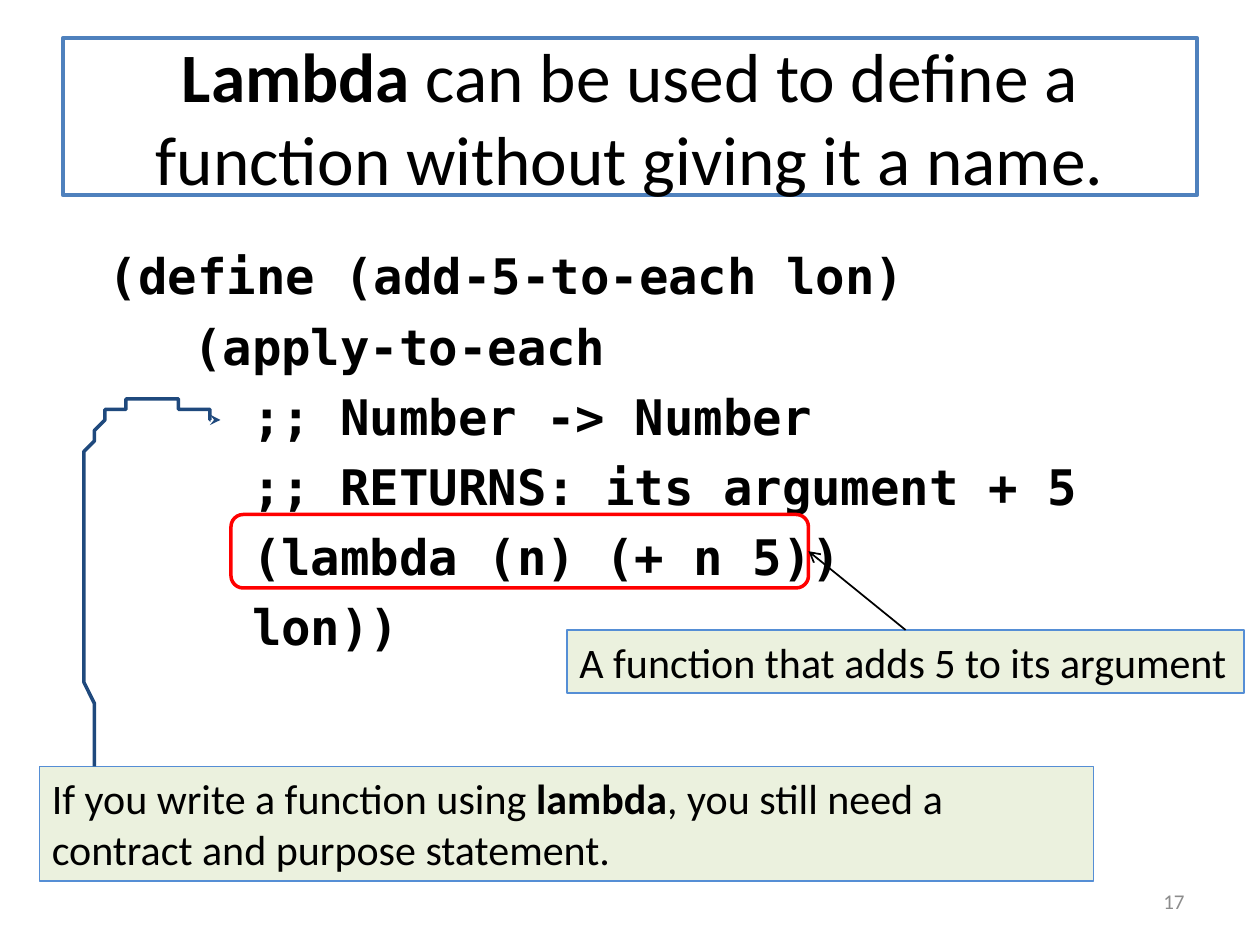
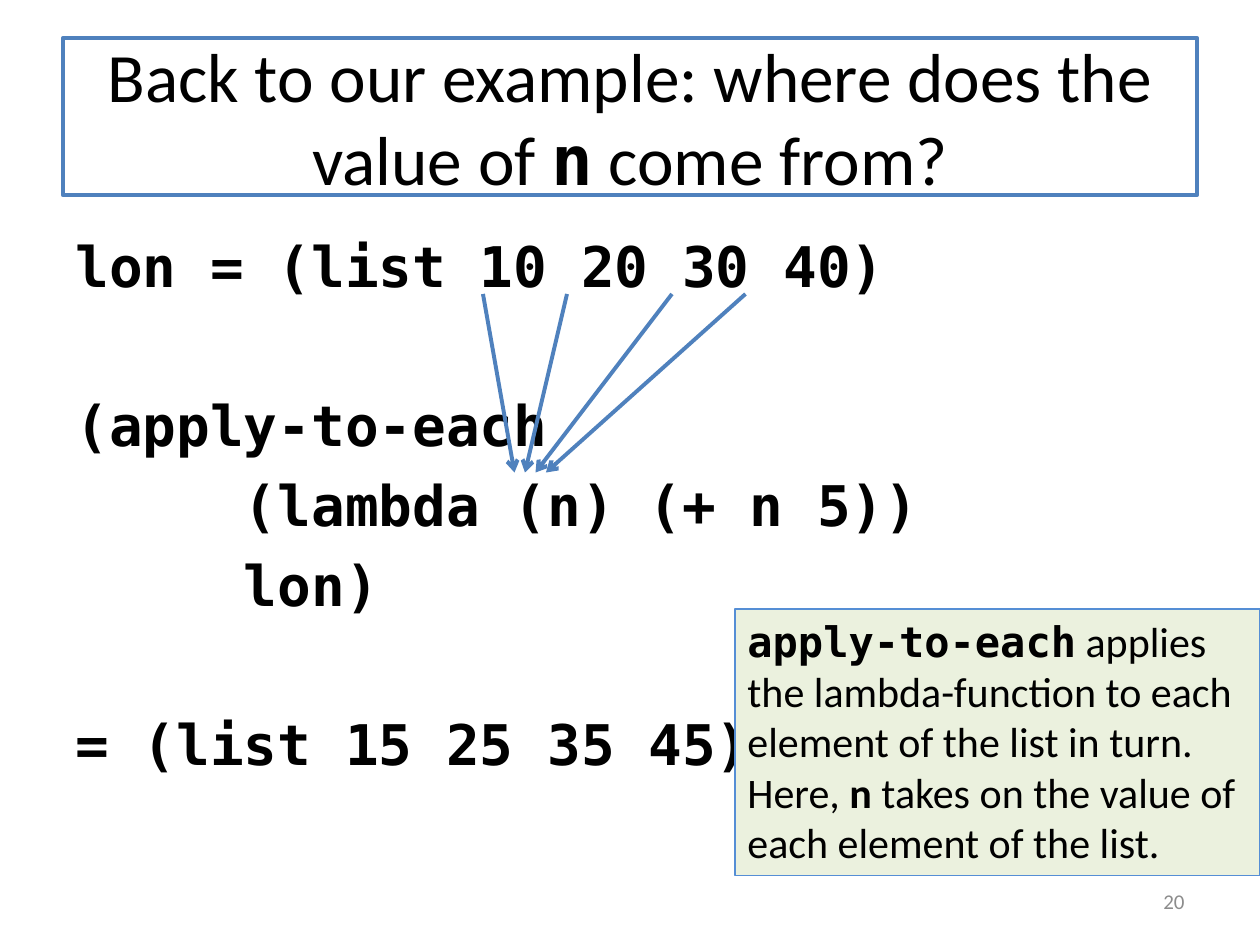
from lxml.etree import SubElement
from pptx import Presentation
from pptx.dml.color import RGBColor
from pptx.enum.shapes import MSO_CONNECTOR, MSO_SHAPE
from pptx.enum.text import MSO_ANCHOR, MSO_AUTO_SIZE, PP_ALIGN
from pptx.oxml.ns import qn
from pptx.util import Emu, Inches, Pt

BLACK = RGBColor(0x00, 0x00, 0x00)
WHITE = RGBColor(0xFF, 0xFF, 0xFF)
GREY = RGBColor(0x8C, 0x8C, 0x8C)
RED = RGBColor(0xFF, 0x00, 0x00)
BLUE = RGBColor(0x4F, 0x81, 0xBD)
NAVY = RGBColor(0x1F, 0x49, 0x7D)
NOTE_FILL = RGBColor(0xEB, 0xF1, 0xDE)
NOTE_LINE = RGBColor(0x55, 0x8E, 0xD5)

SANS, MONO, COURIER = "Calibri", "DejaVu Sans Mono", "Courier New"
TITLE_SIZE, NOTE_SIZE, NUMBER_SIZE = 39.6, 24, 12
COLUMNS, ROWS = 120, 90
CELL = Inches(10) // COLUMNS
TITLE_ONLY = 5
LINE_GAP, BLOCK_GAP = 0.23, 1.63  # shares of the code size


def cells(*counts):
    return [Emu(round(count * CELL)) for count in counts]


def add_span(para, text, size, font=SANS, bold=False, color=BLACK):
    span = para.add_run()
    span.text = text
    span.font.name, span.font.size, span.font.bold = font, Pt(size), bold
    span.font.color.rgb = color


def add_spans(para, spans, size):
    """Add (text, font, bold) spans; font and bold may be left out."""
    for span in spans:
        add_span(para, span[0], size, *span[1:])


def set_line(line, color, width):
    line.color.rgb = color
    line.width = Pt(width)


def add_arrowhead(shape, kind):
    SubElement(shape.line._get_or_add_ln(), qn("a:tailEnd"), type=kind)


def add_page(deck, title_spans, number):
    page = deck.slides.add_slide(deck.slide_layouts[TITLE_ONLY])
    title = page.shapes.title
    title.left, title.top, title.width, title.height = cells(6, 3.6, 108, 15)
    title.fill.solid()
    title.fill.fore_color.rgb = WHITE
    set_line(title.line, BLUE, 2.25)
    frame = title.text_frame
    frame.auto_size = MSO_AUTO_SIZE.NONE
    frame.vertical_anchor = MSO_ANCHOR.MIDDLE
    frame.paragraphs[0].alignment = PP_ALIGN.CENTER
    add_spans(frame.paragraphs[0], title_spans, TITLE_SIZE)

    footer = page.shapes.add_textbox(*cells(86, 83.4, 28, 4.8)).text_frame
    footer.word_wrap = True
    footer.vertical_anchor = MSO_ANCHOR.MIDDLE
    footer.paragraphs[0].alignment = PP_ALIGN.RIGHT
    add_span(footer.paragraphs[0], str(number), NUMBER_SIZE, color=GREY)
    return page


def add_code(page, blocks, size, top_inset):
    """Set each block of code lines, with a wider gap between blocks."""
    frame = page.shapes.add_textbox(*cells(6, 21, 108, 59.4)).text_frame
    frame.word_wrap = True
    frame.margin_top = Inches(top_inset)
    para = None
    for block in blocks:
        for index, line in enumerate(block):
            if para is None:
                para = frame.paragraphs[0]
            else:
                para = frame.add_paragraph()
                gap = LINE_GAP if index else BLOCK_GAP
                para.space_before = Pt(round(gap * size, 1))
            add_span(para, line, size, MONO, True)
    return frame


def add_note(page, area, spans, wrap=True):
    box = page.shapes.add_shape(MSO_SHAPE.RECTANGLE, *cells(*area))
    box.shadow.inherit = False
    box.fill.solid()
    box.fill.fore_color.rgb = NOTE_FILL
    set_line(box.line, NOTE_LINE, 1)
    frame = box.text_frame
    frame.word_wrap = wrap
    frame.auto_size = MSO_AUTO_SIZE.SHAPE_TO_FIT_TEXT
    frame.vertical_anchor = MSO_ANCHOR.TOP
    frame.paragraphs[0].alignment = PP_ALIGN.LEFT
    add_spans(frame.paragraphs[0], spans, NOTE_SIZE)


def add_highlight(page, area):
    frame = page.shapes.add_shape(MSO_SHAPE.ROUNDED_RECTANGLE, *cells(*area))
    frame.shadow.inherit = False
    frame.fill.background()
    set_line(frame.line, RED, 2)


def add_arrow(page, start, end, color, width):
    arrow = page.shapes.add_connector(
        MSO_CONNECTOR.STRAIGHT, *cells(*start, *end))
    set_line(arrow.line, color, width)
    add_arrowhead(arrow, "arrow")
    SubElement(arrow._element.spPr, qn("a:effectLst"))


def bezier_point(knots, t):
    weights = ((1 - t) ** 3, 3 * t * (1 - t) ** 2, 3 * t * t * (1 - t), t ** 3)
    return tuple(sum(w * value for w, value in zip(weights, axis))
                 for axis in zip(*knots))


def add_curved_arrow(page, knots, steps=24):
    """Draw joined cubic curves; every third knot lies on the curve."""
    points = [bezier_point(knots[first:first + 4], step / steps)
              for first in range(0, len(knots) - 1, 3)
              for step in range(1, steps + 1)]
    builder = page.shapes.build_freeform(*knots[0], scale=CELL)
    builder.add_line_segments(points, close=False)
    curve = builder.convert_to_shape()
    curve.shadow.inherit = False
    curve.fill.background()
    set_line(curve.line, NAVY, 2)
    add_arrowhead(curve, "stealth")


def build_lambda_page(deck):
    page = add_page(deck, [
        ("Lambda", SANS, True),
        (" can be used to define a function without giving it a name.",),
    ], 17)
    code = add_code(page, [[
        "(define (add-5-to-each lon)",
        "    (apply-to-each",
        "      ;; Number -> Number",
        "      ;; RETURNS: its argument + 5",
        "      (lambda (n) (+ n 5))",
        "      lon))",
    ]], size=28, top_inset=0.14)
    opening = code.paragraphs[0]
    add_span(opening, " ", 32, COURIER)
    opening._p.insert(0, opening.runs[-1]._r)

    add_note(page, (3.75, 73, 100.4, 10.9), [
        ("If you write a function using ",),
        ("lambda", SANS, True),
        (", you still need a contract and purpose statement.",),
    ])
    add_highlight(page, (22, 49, 55, 7))
    add_note(page, (54, 60, 64.5, 6),
             [("A function that adds 5 to its argument",)], wrap=False)
    add_arrow(page, (86.25, 60), (77, 52.5), BLACK, 1)
    add_curved_arrow(page, [
        (9.25, 72.85), (8, 60.1), (6.7, 47.4), (8.65, 42),
        (10.7, 36.5), (15.85, 38.15), (21, 39.7)])


def build_example_page(deck):
    page = add_page(deck, [
        ("Back to our example: where does the value of ",),
        ("n", MONO, True),
        (" come from?",),
    ], 20)
    add_code(page, [
        ["lon = (list 10 20 30 40)"],
        ["(apply-to-each",
         "     (lambda (n) (+ n 5))",
         "     lon)"],
        ["= (list 15 25 35 45)"],
    ], size=32, top_inset=0.09)
    for index, element_column in enumerate((46, 54, 64, 71)):
        add_arrow(page, (element_column, 28), (49 + index, 45), BLUE, 2.25)
    add_note(page, (70, 58, 50, 25.4), [
        ("apply-to-each", MONO, True),
        (" applies the lambda-function to each element of the list in turn. "
         "Here, ",),
        ("n", SANS, True),
        (" takes on the value of each element of the list.",),
    ])


def main():
    deck = Presentation()
    deck.slide_width, deck.slide_height = cells(COLUMNS, ROWS)
    build_lambda_page(deck)
    build_example_page(deck)
    deck.save("out.pptx")


if __name__ == "__main__":
    main()
